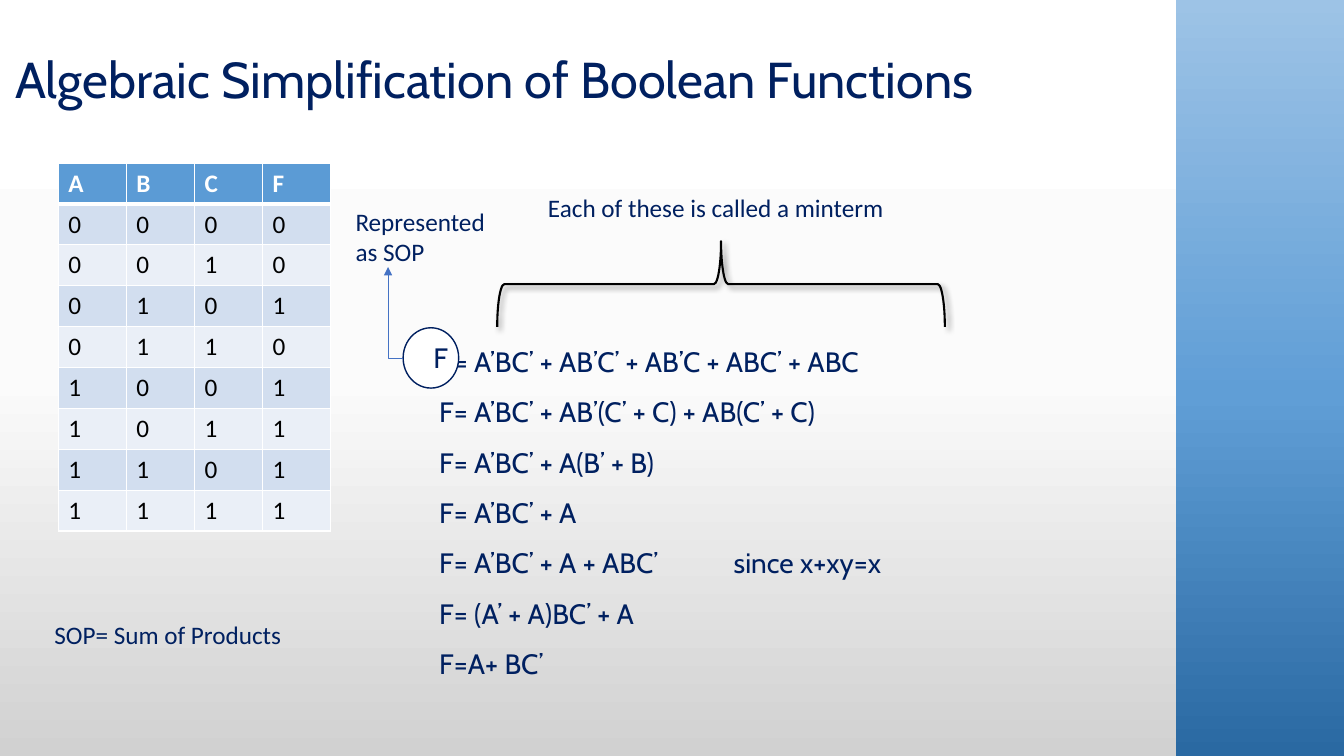
from copy import deepcopy
from dataclasses import dataclass
from itertools import product

from lxml.etree import SubElement
from pptx import Presentation
from pptx.dml.color import RGBColor
from pptx.enum.shapes import MSO_CONNECTOR as Connector, MSO_SHAPE as Shape
from pptx.enum.text import MSO_ANCHOR as Anchor
from pptx.oxml.ns import qn
from pptx.util import Cm, Pt


@dataclass(frozen=True)
class Theme:
    ink: str = "002060"
    white: str = "FFFFFF"
    black: str = "000000"
    arrow: str = "4472C4"
    header: str = "5B9BD5"
    bands: tuple = ("D2DEEF", "EAEFF7")
    backdrop: tuple = ((0, "FFFFFF"), (0.5, "FBFBFB"), (1, "D1D1D1"))
    panel: tuple = ((0, "2A69A2"), (0.48, "609ED6"), (1, "9DC3E6"))
    display: str = "Cabin"
    body: str = "Calibri"
    title_size: int = 36
    formula_size: int = 20
    body_size: int = 18


@dataclass(frozen=True)
class Box:
    """A rectangle in centimetres."""
    left: float
    top: float
    width: float
    height: float

    def lengths(self):
        return [Cm(n) for n in (self.left, self.top, self.width, self.height)]

    def inner(self, left, top, width, height):
        return Box(self.left + left, self.top + top, width, height)


THEME = Theme()
STEPS = (
    "F= A’BC’ + AB’C’ + AB’C + ABC’ + ABC",
    "F= A’BC’ + AB’(C’ + C) + AB(C’ + C)",
    "F= A’BC’ + A(B’ + B)",
    "F= A’BC’ + A",
    "F= A’BC’ + A + ABC’\tsince x+xy=x",
    "F= (A’ + A)BC’ + A",
    "F=A+ BC’",
)
REASON_TAB = 7.42


def color(code):
    return RGBColor.from_string(code)


def set_gradient(owner, fill, stops, angle):
    """Fill with any number of stops; angle is counter-clockwise."""
    fill.gradient()
    fill.gradient_angle = angle
    stop_list = next(owner.element.iter(qn("a:gsLst")))
    while len(stop_list) < len(stops):
        stop_list.append(deepcopy(stop_list[0]))
    for stop, (position, code) in zip(fill.gradient_stops, stops):
        stop.position = position
        stop.color.rgb = color(code)


def style_font(font, face, size, code=THEME.ink, bold=False):
    font.name, font.size, font.bold = face, Pt(size), bold
    font.color.rgb = color(code)


def add_text(page, box, lines, face=THEME.body, size=THEME.body_size,
             spacing=1.0, anchor=Anchor.TOP):
    frame = page.shapes.add_textbox(*box.lengths()).text_frame
    frame.word_wrap = True
    frame.vertical_anchor = anchor
    frame.text = "\n".join(lines)
    for para in frame.paragraphs:
        para.line_spacing = spacing
        style_font(para.font, face, size)
    return frame


def add_plain_shape(page, kind, box):
    shape = page.shapes.add_shape(kind, *box.lengths())
    shape.shadow.inherit = False
    return shape


def add_side_panel(page, box):
    panel = add_plain_shape(page, Shape.RECTANGLE, box)
    set_gradient(panel, panel.fill, THEME.panel, 90)
    panel.line.fill.background()


def style_cell(cell, fill, header, under_header):
    cell_format = cell._tc.get_or_add_tcPr()
    for side in "LRTB":
        thick = (side == "B" and header) or (side == "T" and under_header)
        border = SubElement(cell_format, qn(f"a:ln{side}"), w=str(Pt(3 if thick else 1)))
        SubElement(SubElement(border, qn("a:solidFill")), qn("a:srgbClr"), val=THEME.white)
    cell.fill.solid()
    cell.fill.fore_color.rgb = color(fill)
    style_font(cell.text_frame.paragraphs[0].font, THEME.body, THEME.body_size,
               THEME.white if header else THEME.black, header)


def add_truth_table(page, box):
    rows = [tuple("ABCF")]
    rows += [(a, b, c, int(a or (b and not c))) for a, b, c in product((0, 1), repeat=3)]
    table = page.shapes.add_table(len(rows), len(rows[0]), *box.lengths()).table
    for row in table.rows:
        row.height = Cm(box.height / len(rows))
    for row_index, values in enumerate(rows):
        header = row_index == 0
        fill = THEME.header if header else THEME.bands[(row_index - 1) % 2]
        for column_index, value in enumerate(values):
            cell = table.cell(row_index, column_index)
            cell.text = str(value)
            style_cell(cell, fill, header, row_index == 1)


def add_derivation(page, box):
    frame = add_text(page, box, STEPS, THEME.display, THEME.formula_size, 1.5)
    for para in frame.paragraphs:
        if "\t" in para.text:
            tabs = SubElement(para._p.get_or_add_pPr(), qn("a:tabLst"))
            SubElement(tabs, qn("a:tab"), pos=str(Cm(REASON_TAB)), algn="l")


def add_brace(page, box):
    """Draw a brace that opens downwards and fills the box."""
    upright = box.inner((box.width - box.height) / 2, (box.height - box.width) / 2,
                        box.height, box.width)
    brace = add_plain_shape(page, Shape.LEFT_BRACE, upright)
    brace.rotation = 90
    brace.fill.background()
    brace.line.color.rgb = color(THEME.black)
    brace.line.width = Pt(1.5)
    effects = brace.element.spPr.find(qn("a:effectLst"))
    shadow = SubElement(effects, qn("a:outerShdw"), blurRad=str(Pt(4)), dist=str(Pt(3)),
                        dir=str(45 * 60000), algn="tl", rotWithShape="0")
    shade = SubElement(shadow, qn("a:srgbClr"), val=THEME.black)
    SubElement(shade, qn("a:alpha"), val="40000")


def add_minterm_callout(page, box):
    add_brace(page, box.inner(0, 1.36, box.width, 2.16))
    add_text(page, box.inner(1.03, 0, 9.22, 1.02), ["Each of these is called a minterm"])


def add_bent_arrow(page, start, end):
    arrow = page.shapes.add_connector(Connector.ELBOW, *(Cm(n) for n in start + end))
    arrow.line.color.rgb = color(THEME.arrow)
    arrow.line.width = Pt(0.5)
    properties = arrow.element.spPr
    properties.find(qn("a:prstGeom")).set("prst", "bentConnector2")
    SubElement(properties.find(qn("a:ln")), qn("a:tailEnd"), type="triangle")
    SubElement(properties, qn("a:effectLst"))


def add_sop_callout(page, box):
    ring_box = box.inner(1.45, 3.18, 1.4, 1.52)
    ring = add_plain_shape(page, Shape.OVAL, ring_box)
    ring.fill.solid()
    ring.fill.fore_color.rgb = color(THEME.white)
    ring.line.color.rgb = color(THEME.ink)
    ring.line.width = Pt(1)
    add_text(page, ring_box.inner(0.51, 0.2, 0.74, 1.12), ["F"],
             THEME.display, THEME.formula_size)
    add_bent_arrow(page, (ring_box.left, ring_box.top + ring_box.height / 2),
                   (box.left + 1.07, box.top + 1.65))
    add_text(page, box.inner(0, 0, box.width, 1.8), ["Represented as SOP"])


def main():
    deck = Presentation()
    deck.slide_width, deck.slide_height = Cm(33.87), Cm(19.05)
    page = deck.slides.add_slide(deck.slide_layouts[6])
    set_gradient(page, page.background.fill, THEME.backdrop, 270)
    add_side_panel(page, Box(29.64, 0, 4.23, 19.05))
    add_text(page, Box(0.13, 0.23, 29.21, 3.68),
             ["Algebraic Simplification of Boolean Functions"],
             THEME.display, THEME.title_size, 0.9, Anchor.MIDDLE)
    add_truth_table(page, Box(1.47, 4.11, 6.86, 9.27))
    add_derivation(page, Box(10.82, 8.13, 16.54, 9.07))
    add_minterm_callout(page, Box(12.53, 4.72, 11.28, 3.52))
    add_sop_callout(page, Box(8.71, 5.08, 4.24, 4.7))
    add_text(page, Box(1.12, 15.49, 6.86, 1.02), ["SOP= Sum of Products"])
    deck.save("out.pptx")


if __name__ == "__main__":
    main()
